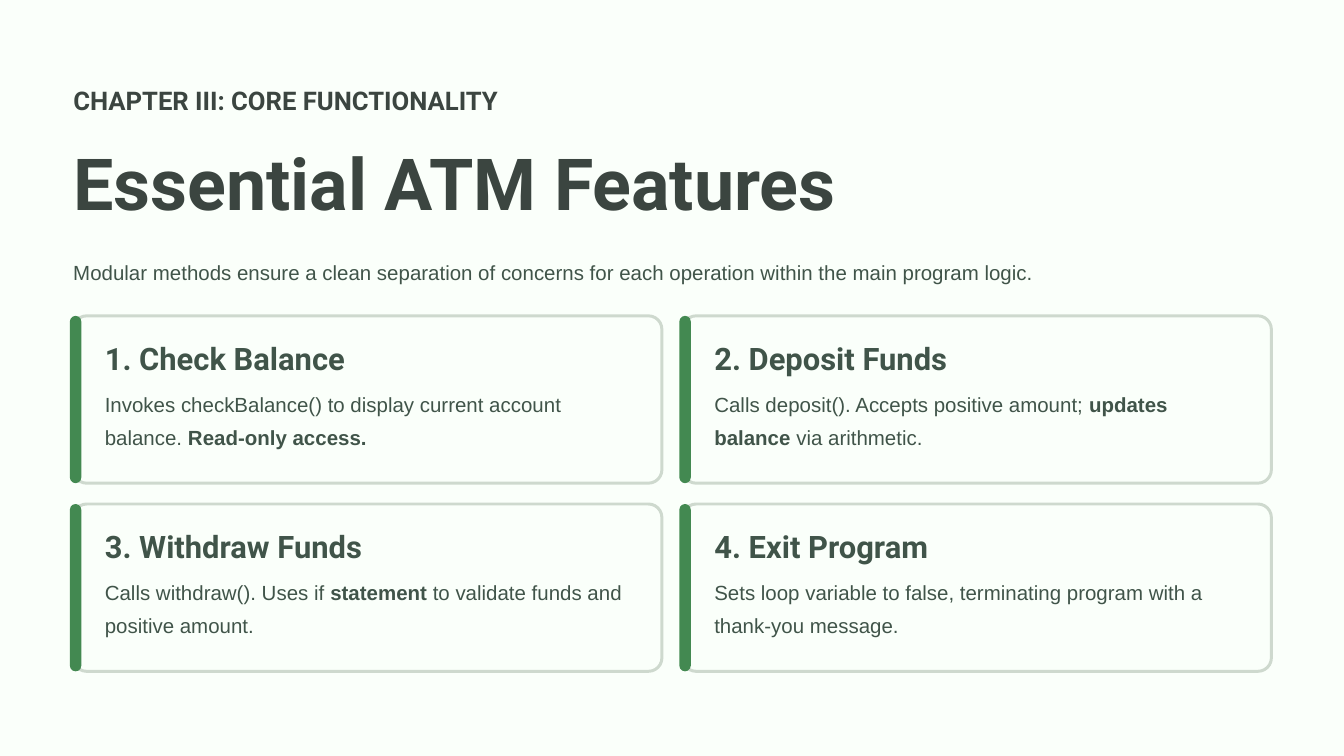
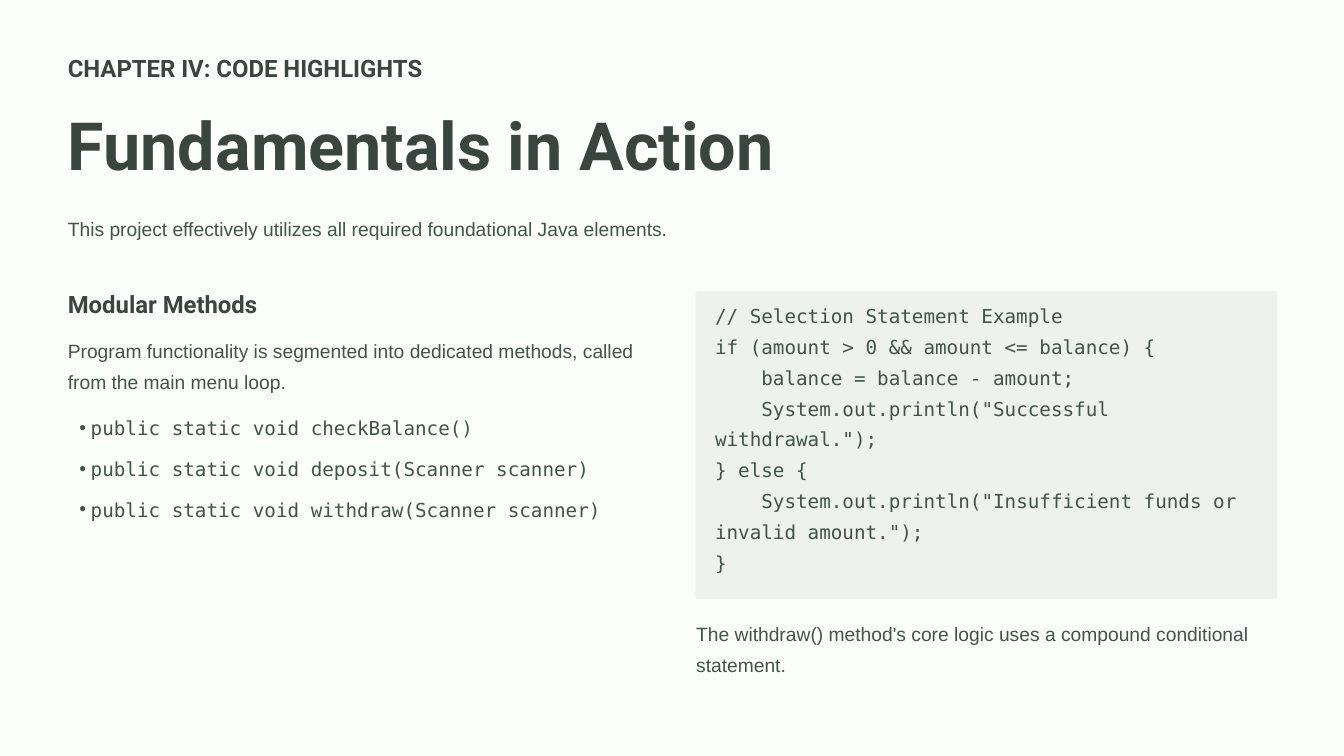
"""Builds two slides on the features and code of an ATM program."""
from lxml import etree
from pptx import Presentation, util as u
from pptx.dml.color import RGBColor
from pptx.enum import shapes, text
from pptx.oxml.ns import qn

PX = 9144
WIDTH, HEIGHT = 2000, 1125
PAPER, PANEL, BORDER = "FAFFFA", "EDF2ED", "CED9CE"
ACCENT, DARK, BODY = "438951", "3B4540", "405449"
HEADING_FONT, BODY_FONT, CODE_FONT = "Roboto", "Arial", "DejaVu Sans Mono"

CHAPTER_STYLE = (HEADING_FONT, 27.5, 34.4, DARK, True)
TITLE_STYLE = (HEADING_FONT, 76.9, 96.2, DARK, True)
CARD_HEAD_STYLE = (HEADING_FONT, 33.1, 41.2, BODY, True)
CARD_BODY_STYLE = (BODY_FONT, 21.9, 35.6, BODY, False)
CHAPTER_STYLE_SMALL = (HEADING_FONT, 25.6, 32.5, DARK, True)
TITLE_STYLE_SMALL = (HEADING_FONT, 71.2, 89.4, DARK, True)
NOTE_STYLE = (BODY_FONT, 20.6, 33.1, BODY, False)
CODE_STYLE = (CODE_FONT, 20.6, 33.1, BODY, False)

FEATURES_HEADER = [
    ("CHAPTER III: CORE FUNCTIONALITY", (109, 124, 759, 49), CHAPTER_STYLE),
    ("Essential ATM Features", (109, 201, 1276, 138), TITLE_STYLE),
    ("Modular methods ensure a clean separation of concerns for each operation "
     "within the main program logic.", (109, 374, 1783, 61), CARD_BODY_STYLE),
]
FEATURES = [
    ("1. Check Balance", [("Invokes checkBalance() to display current account balance. ", False),
                          ("Read-only access.", True)]),
    ("2. Deposit Funds", [("Calls deposit(). Accepts positive amount; ", False),
                          ("updates balance", True), (" via arithmetic.", False)]),
    ("3. Withdraw Funds", [("Calls withdraw(). Uses if", False), (" statement", True),
                           (" to validate funds and positive amount.", False)]),
    ("4. Exit Program", [("Sets loop variable to false, terminating program with a "
                          "thank-you message.", False)]),
]
CODE_HEADER = [
    ("CHAPTER IV: CODE HIGHLIGHTS", (101, 78, 634, 46), CHAPTER_STYLE_SMALL),
    ("Fundamentals in Action", (101, 149, 1206, 129), TITLE_STYLE_SMALL),
    ("This project effectively utilizes all required foundational Java elements.",
     (101, 311, 1798, 57), NOTE_STYLE),
]
METHODS_HEAD = "Modular Methods"
METHODS_NOTE = ("Program functionality is segmented into dedicated methods, "
                "called from the main menu loop.")
METHODS = [
    "public static void checkBalance()",
    "public static void deposit(Scanner scanner)",
    "public static void withdraw(Scanner scanner)",
]
CODE = [
    (0, "// Selection Statement Example"),
    (0, "if (amount > 0 && amount <= balance) {"),
    (1, "balance = balance - amount;"),
    (1, 'System.out.println("Successful withdrawal.");'),
    (0, "} else {"),
    (1, 'System.out.println("Insufficient funds or invalid amount.");'),
    (0, "}"),
]
CODE_NOTE = "The withdraw() method's core logic uses a compound conditional statement."

CARD_LEFT, CARD_TOP, CARD_W, CARD_H = 109, 470, 876, 249
CARD_STEP_X, CARD_STEP_Y, CARD_RADIUS = 907, 280, 20
BAR_W, BAR_OVERHANG, CARD_PAD = 17, 5, 47
LEFT_COLUMN, RIGHT_COLUMN, COLUMN_W = 101, 1036, 864
CODE_INDENT, BULLET_LEFT, BULLET_HANG, BULLET_GAP = 69, 34, 17, 10.5


def rgb(hex_code):
    """Turns a hex string into a colour."""
    return RGBColor.from_string(hex_code)


def emu(*lengths):
    """Turns px lengths into EMU."""
    return [u.Emu(length * PX) for length in lengths]


def write(shape, paragraphs, style):
    """Fills a shape with paragraphs, each a string or a list of (words, bold) runs."""
    font, size, leading, color, bold = style
    frame = shape.text_frame
    frame.word_wrap = True
    frame.auto_size = text.MSO_AUTO_SIZE.NONE
    frame.vertical_anchor = text.MSO_ANCHOR.TOP
    frame.margin_left = frame.margin_top = frame.margin_right = frame.margin_bottom = 0
    for index, runs in enumerate(paragraphs):
        paragraph = frame.add_paragraph() if index else frame.paragraphs[0]
        paragraph.alignment = text.PP_ALIGN.LEFT
        paragraph.line_spacing = u.Pt(leading)
        for words, strong in [(runs, bold)] if isinstance(runs, str) else runs:
            run = paragraph.add_run()
            run.text = words
            run.font.name, run.font.size, run.font.bold = font, u.Pt(size), strong
            run.font.color.rgb = rgb(color)
    return frame.paragraphs


def add_text(slide, box, paragraphs, style):
    """Adds a text box and returns its paragraphs."""
    return write(slide.shapes.add_textbox(*emu(*box)), paragraphs, style)


def add_rounded(slide, box, fill, radius, border=None):
    """Adds a rounded rectangle with a corner radius in px."""
    rounded = slide.shapes.add_shape(shapes.MSO_SHAPE.ROUNDED_RECTANGLE, *emu(*box))
    rounded.shadow.inherit = False
    rounded.adjustments[0] = radius / min(box[2:])
    rounded.fill.solid()
    rounded.fill.fore_color.rgb = rgb(fill)
    if border:
        rounded.line.color.rgb = rgb(border)
        rounded.line.width = u.Pt(3.2)
    else:
        rounded.line.fill.background()


def indent(paragraph, left, first):
    """Sets the left margin and first-line indent of a paragraph."""
    properties = paragraph._p.get_or_add_pPr()
    properties.set("marL", str(left * PX))
    properties.set("indent", str(first * PX))
    return properties


def add_bullet(paragraph):
    """Gives a paragraph a hanging bullet."""
    paragraph.space_after = u.Pt(BULLET_GAP)
    properties = indent(paragraph, BULLET_LEFT, -BULLET_HANG)
    etree.SubElement(properties, qn("a:buFont")).set("typeface", BODY_FONT)
    etree.SubElement(properties, qn("a:buChar")).set("char", "•")


def add_slide(deck, header):
    """Adds a slide with its chapter, title and introduction."""
    slide = deck.slides.add_slide(deck.slide_layouts[5])
    chapter, title, introduction = header
    for words, box, style in (chapter, introduction):
        add_text(slide, box, [words], style)
    words, box, style = title
    heading = slide.shapes.title
    heading.left, heading.top, heading.width, heading.height = emu(*box)
    write(heading, [words], style)
    return slide


def add_features(deck):
    """Adds the slide with four feature cards."""
    slide = add_slide(deck, FEATURES_HEADER)
    for index, (name, description) in enumerate(FEATURES):
        row, column = divmod(index, 2)
        left = CARD_LEFT + column * CARD_STEP_X
        top = CARD_TOP + row * CARD_STEP_Y
        add_rounded(slide, (left, top, CARD_W, CARD_H), PAPER, CARD_RADIUS, BORDER)
        add_rounded(slide, (left - BAR_OVERHANG, top, BAR_W, CARD_H), ACCENT, BAR_W / 2)
        add_text(slide, (left + CARD_PAD, top + 33, 465, 60), [name], CARD_HEAD_STYLE)
        add_text(slide, (left + CARD_PAD, top + 100, 793, 114), [description], CARD_BODY_STYLE)


def add_code(deck):
    """Adds the slide with the method list and code sample."""
    slide = add_slide(deck, CODE_HEADER)
    add_text(slide, (LEFT_COLUMN, 428, 361, 46), [METHODS_HEAD], CHAPTER_STYLE_SMALL)
    add_text(slide, (LEFT_COLUMN, 493, COLUMN_W, 103), [METHODS_NOTE], NOTE_STYLE)
    for method in add_text(slide, (LEFT_COLUMN, 608, COLUMN_W, 185), METHODS, CODE_STYLE):
        add_bullet(method)
    add_rounded(slide, (RIGHT_COLUMN - 1, 433, COLUMN_W + 2, 459), PANEL, 4)
    code_lines = add_text(slide, (RIGHT_COLUMN + 28, 441, 809, 414),
                          [line for _, line in CODE], CODE_STYLE)
    for code_line, (depth, _) in zip(code_lines, CODE):
        indent(code_line, 0, depth * CODE_INDENT)
    add_text(slide, (RIGHT_COLUMN, 914, COLUMN_W, 107), [CODE_NOTE], NOTE_STYLE)


def main():
    """Builds and saves the deck."""
    deck = Presentation()
    deck.slide_width, deck.slide_height = emu(WIDTH, HEIGHT)
    backdrop = deck.slide_master.background.fill
    backdrop.solid()
    backdrop.fore_color.rgb = rgb(PAPER)
    add_features(deck)
    add_code(deck)
    deck.save("out.pptx")


if __name__ == "__main__":
    main()
